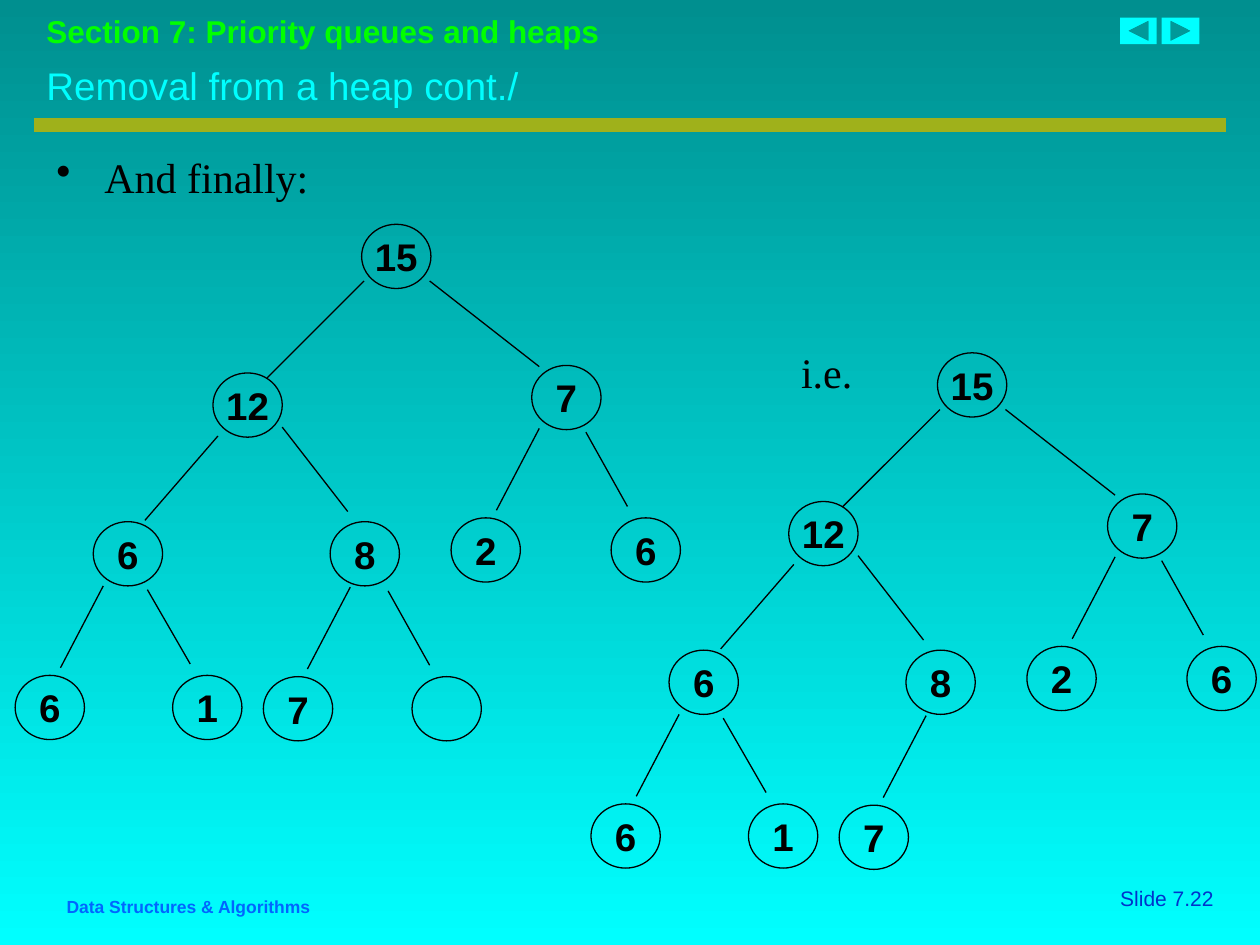
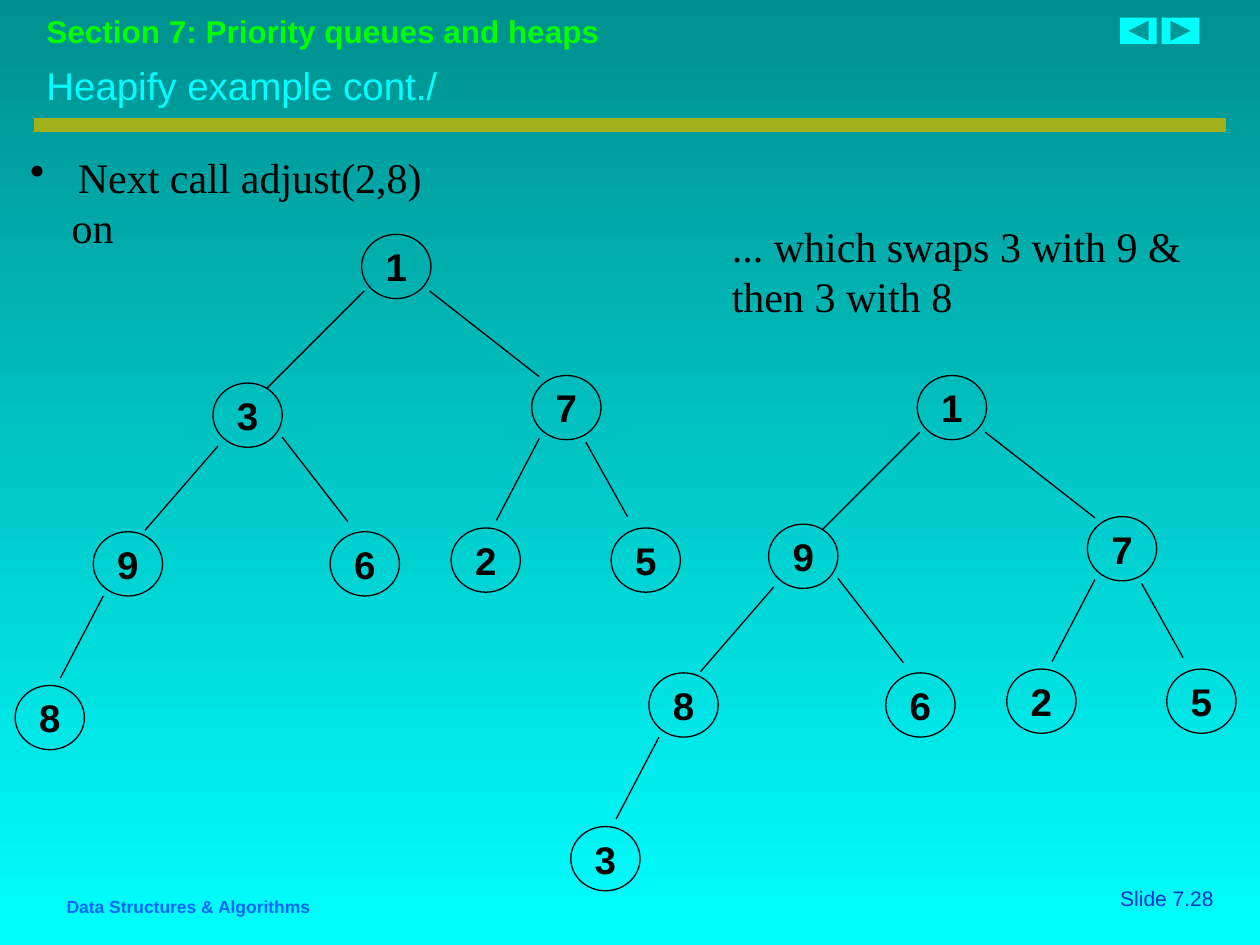
"""Build two slides that show heaps as binary trees."""
from lxml.etree import SubElement
from pptx import Presentation
from pptx.dml.color import RGBColor
from pptx.enum.shapes import MSO_CONNECTOR, MSO_SHAPE
from pptx.enum.text import MSO_ANCHOR as ANCHOR, PP_ALIGN as ALIGN
from pptx.oxml.ns import qn
from pptx.util import Inches, Pt

COLORS = {
    "top": "008F8F", "bottom": "00FFFF", "band": "9FB11B", "section": "00FF00",
    "title": "00FFFF", "button": "00FFFF", "course": "0066FF", "number": "0033CC",
    "ink": "000000",
}
SANS, SERIF = "Arial", "Times New Roman"
NODE_WIDTH, NODE_HEIGHT = 0.55, 0.51

# Offsets from the root's corner, in heap order
NODES = [
    (0, 0), (-1.18, 1.18), (1.35, 1.12), (-2.13, 2.36), (-0.25, 2.36), (0.71, 2.33),
    (1.98, 2.33), (-2.75, 3.58), (-1.5, 3.58), (-0.78, 3.59), (0.4, 3.59),
]
# The line from each node's parent: start x, start y, end x, end y
EDGES = [
    None, (0.02, 0.45, -0.75, 1.22), (0.54, 0.45, 1.41, 1.13),
    (-1.14, 1.68, -1.72, 2.35), (-0.63, 1.61, -0.11, 2.28),
    (1.41, 1.62, 1.07, 2.27), (1.78, 1.65, 2.11, 2.24),
    (-2.05, 2.87, -2.39, 3.52), (-1.7, 2.9, -1.36, 3.49),
    (-0.09, 2.88, -0.43, 3.53), (0.21, 2.91, 0.54, 3.5),
]


def color(name):
    """Return a named colour."""
    return RGBColor.from_string(COLORS[name])


def set_font(para, name, size, tint, bold=False):
    """Set the font of a whole paragraph."""
    font = para.font
    font.name, font.size, font.bold = name, Pt(size), bold
    font.color.rgb = color(tint)


def add_text(page, area, text, name, size, tint, bold=False, align=ALIGN.LEFT,
             anchor=ANCHOR.TOP):
    """Add a wrapped text box and return its frame."""
    frame = page.shapes.add_textbox(*map(Inches, area)).text_frame
    frame.word_wrap = True
    frame.vertical_anchor = anchor
    frame.text = text
    for para in frame.paragraphs:
        para.alignment = align
        set_font(para, name, size, tint, bold)
    return frame


def add_line(page, start, end, tint="ink", width=0.75):
    """Add a straight line without a shadow."""
    line = page.shapes.add_connector(
        MSO_CONNECTOR.STRAIGHT, *map(Inches, (*start, *end)))
    line.line.color.rgb = color(tint)
    line.line.width = Pt(width)
    SubElement(line._element.spPr, qn("a:effectLst"))


def add_button(page, kind, left, width):
    """Add a navigation button."""
    button = page.shapes.add_shape(kind, *map(Inches, (left, 0.14, width, 0.21)))
    button.shadow.inherit = False
    button.fill.solid()
    button.fill.fore_color.rgb = color("button")
    button.line.fill.background()


def add_node(page, left, top, label):
    """Add a tree node with its value centred."""
    node = page.shapes.add_shape(
        MSO_SHAPE.OVAL, *map(Inches, (left, top, NODE_WIDTH, NODE_HEIGHT)))
    node.shadow.inherit = False
    node.fill.background()
    node.line.color.rgb = color("ink")
    node.line.width = Pt(0.75)
    if label:
        frame = node.text_frame
        frame.margin_left = frame.margin_right = 0
        frame.margin_top = frame.margin_bottom = 0
        frame.word_wrap = False
        frame.vertical_anchor = ANCHOR.MIDDLE
        frame.text = label
        para = frame.paragraphs[0]
        para.alignment = ALIGN.CENTER
        set_font(para, SANS, 22, "ink", True)


def add_heap(page, left, top, labels):
    """Draw a heap, given in array order, with its root at left, top."""
    for label, (across, down), edge in zip(labels, NODES, EDGES):
        if edge:
            x1, y1, x2, y2 = edge
            add_line(page, (left + x1, top + y1), (left + x2, top + y2))
        add_node(page, left + across, top + down, label)


def set_indent(para, margin, first=0.0, bullet=None):
    """Set a paragraph's indent and, if given, its bullet."""
    props = para._p.get_or_add_pPr()
    props.set("marL", str(Inches(margin)))
    props.set("indent", str(Inches(first)))
    if bullet:
        SubElement(props, qn("a:buChar")).set("char", bullet)


def add_body(page, left, lines):
    """Add a bulleted line, with any further lines indented below it."""
    # The bullet goes in before the font, whose defRPr must follow it
    frame = page.shapes.add_textbox(*map(Inches, (left, 1.15, 9.37, 1))).text_frame
    frame.word_wrap = True
    frame.text = "\n".join(lines)
    head, *rest = frame.paragraphs
    set_indent(head, 0.38, -0.38, "•")
    for para in rest:
        set_indent(para, 0.33)
    for para in frame.paragraphs:
        set_font(para, SERIF, 24, "ink")


def add_page(deck, title, number):
    """Add a page with the shared header, band and footers."""
    page = deck.slides.add_slide(deck.slide_layouts[6])
    add_text(page, (8.15, 6.98, 1.58, 0.3), f"Slide {number}", SANS, 12, "number",
             align=ALIGN.RIGHT)
    add_line(page, (0.27, 0.99), (9.73, 0.99), "band", 8)
    add_text(page, (0.27, 0.05, 9.45, 0.4), "Section 7: Priority queues and heaps",
             SANS, 18, "section", True)
    add_button(page, MSO_SHAPE.ACTION_BUTTON_FORWARD_OR_NEXT, 9.22, 0.3)
    add_button(page, MSO_SHAPE.ACTION_BUTTON_BACK_OR_PREVIOUS, 8.89, 0.29)
    add_text(page, (0.43, 7.06, 3.07, 0.27), "Data Structures & Algorithms",
             SANS, 10, "course", True)
    add_text(page, (0.27, 0.44, 9.21, 0.47), title, SANS, 22, "title",
             anchor=ANCHOR.MIDDLE)
    return page


def set_background(deck):
    """Give every page the vertical gradient."""
    fill = deck.slide_master.background.fill
    fill.gradient()
    fill.gradient_angle = 270
    for stop, name in zip(fill.gradient_stops, ("top", "bottom")):
        stop.color.rgb = color(name)


def main():
    """Build and save the deck."""
    deck = Presentation()
    deck.slide_width, deck.slide_height = Inches(10), Inches(7.5)
    set_background(deck)

    removal = add_page(deck, "Removal from a heap cont./", "7.22")
    add_body(removal, 0.35, ["And finally:"])
    heap = "15 12 7 6 8 2 6 6 1 7".split()
    add_heap(removal, 2.87, 1.78, heap + [""])
    add_heap(removal, 7.44, 2.8, heap)
    add_text(removal, (6.26, 2.7, 0.87, 0.5), "i.e.", SERIF, 24, "ink")

    heapify = add_page(deck, "Heapify example cont./", "7.28")
    add_body(heapify, 0.14, ["Next call adjust(2,8)", "on"])
    add_heap(heapify, 2.87, 1.86, "1 3 7 9 6 2 5 8".split())
    add_heap(heapify, 7.28, 2.98, "1 9 7 8 6 2 5 3".split())
    add_text(heapify, (5.71, 1.7, 4.29, 0.9),
             "... which swaps 3 with 9 & then 3 with 8", SERIF, 24, "ink")

    deck.save("out.pptx")


if __name__ == "__main__":
    main()
